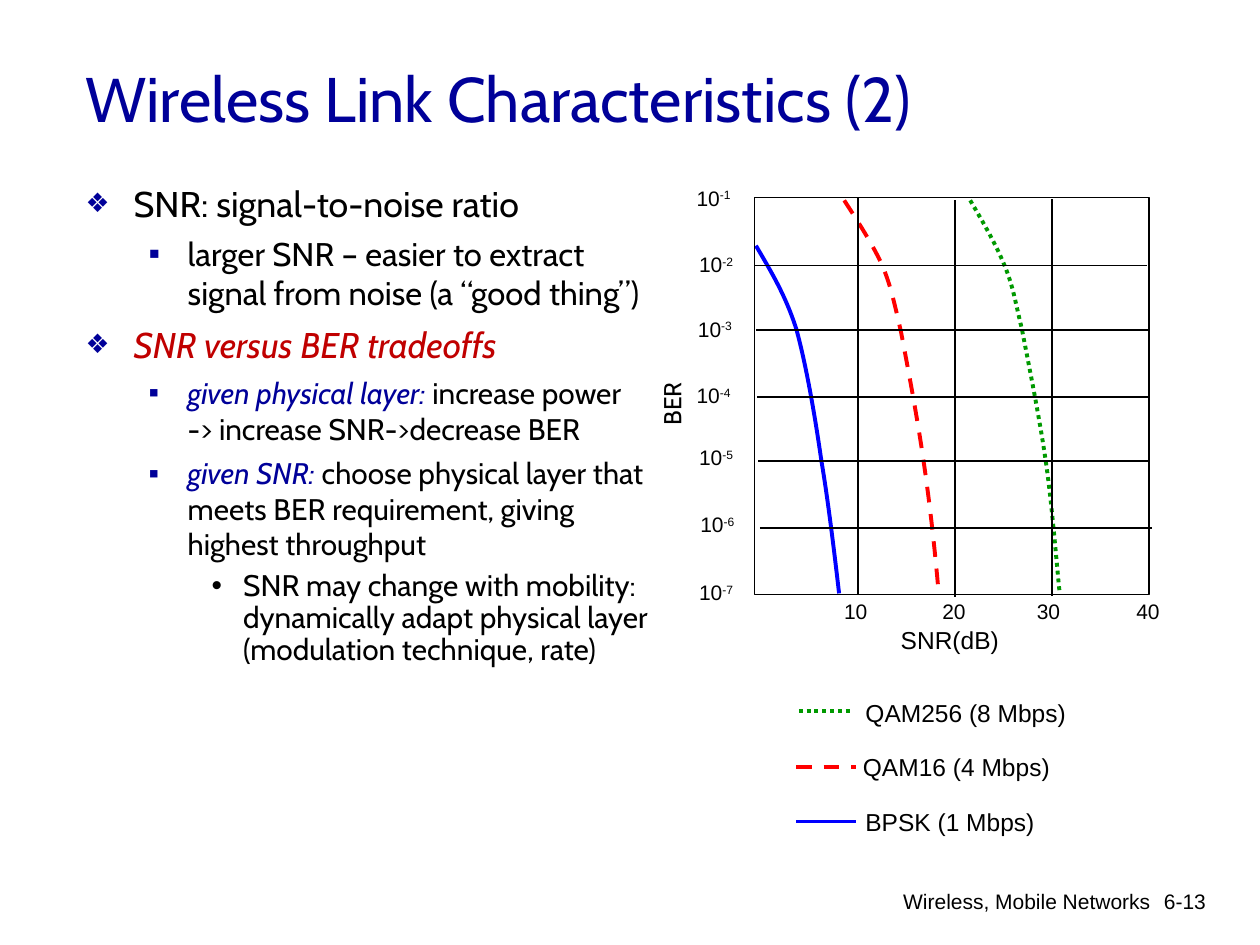
"""Build the slide on wireless link characteristics: SNR versus BER."""
from lxml import etree
from pptx import Presentation
from pptx.dml.color import RGBColor
from pptx.enum.dml import MSO_LINE
from pptx.enum.shapes import MSO_CONNECTOR, MSO_SHAPE
from pptx.enum.text import MSO_ANCHOR, MSO_AUTO_SIZE, PP_ALIGN
from pptx.oxml.ns import qn
from pptx.util import Inches, Pt

LEFT, RIGHT = PP_ALIGN.LEFT, PP_ALIGN.RIGHT
DASH, DOT = MSO_LINE.DASH, MSO_LINE.ROUND_DOT
BLACK, NAVY, CRIMSON = "000000", "000099", "C00000"
BLUE, RED, GREEN = "0000FF", "FF0000", "009900"

TITLE = "Wireless Link Characteristics (2)"
# level, size, space before, runs of (text, colour, italic)
BODY = [
    (0, 20.4, 0, [("SNR: signal-to-noise ratio", BLACK, False)]),
    (1, 18.7, 5.5, [("larger SNR – easier to extract signal from noise (a “good thing”)", BLACK, False)]),
    (0, 20.4, 6, [("SNR versus BER tradeoffs", CRIMSON, True)]),
    (1, 17, 5, [("given physical layer:", NAVY, True),
                (" increase power -> increase SNR->decrease BER", BLACK, False)]),
    (1, 17, 5, [("given SNR:", NAVY, True),
                (" choose physical layer that meets BER requirement, giving highest throughput", BLACK, False)]),
    (2, 17, 5, [("SNR may change with mobility: dynamically adapt physical layer "
                 "(modulation technique, rate)", BLACK, False)]),
]
# bullet, colour, size in percent, left margin, hanging indent, line spacing
LEVELS = [("❖", NAVY, 75, 0.38, 0.38, 1.0),
          ("▪", NAVY, 100, 0.81, 0.31, 1.0),
          ("•", BLACK, 100, 1.25, 0.25, 0.9)]

# colour, dash, Bezier points
CURVES = [
    (BLUE, None, [(6, 1.95), (6.11, 2.14), (6.23, 2.33), (6.32, 2.61), (6.4, 2.9), (6.47, 3.31),
                  (6.52, 3.66), (6.58, 4.01), (6.64, 4.54), (6.66, 4.71)]),
    (RED, DASH, [(6.7, 1.59), (6.81, 1.76), (6.92, 1.93), (7, 2.1), (7.07, 2.27), (7.09, 2.37),
                 (7.15, 2.63), (7.2, 2.89), (7.28, 3.31), (7.33, 3.66), (7.38, 4), (7.42, 4.36),
                 (7.45, 4.71)]),
    (GREEN, DOT, [(7.7, 1.59), (7.8, 1.76), (7.9, 1.93), (7.97, 2.1), (8.04, 2.27), (8.05, 2.36),
                  (8.11, 2.61), (8.16, 2.87), (8.25, 3.31), (8.3, 3.66), (8.35, 4), (8.39, 4.52),
                  (8.41, 4.7)]),
]
PLOT = (5.99, 1.57, 3.13, 3.15)
ROWS = [2.11, 2.62, 3.15, 3.66, 4.19]
COLUMNS = [(6.81, 1.57), (7.58, 1.59), (8.35, 1.58)]
SNR_TICKS = [("10", 6.6), ("20", 7.38), ("30", 8.13), ("40", 8.92)]
BER_TICKS = [("-1", 5.43, 1.42), ("-2", 5.45, 1.95), ("-3", 5.44, 2.46), ("-4", 5.43, 2.99),
             ("-5", 5.45, 3.48), ("-6", 5.46, 4.01), ("-7", 5.45, 4.55)]
# label, left, top, width, key start, key end, key height, colour, dash
LEGEND = [("QAM256 (8 Mbps)", 6.77, 5.49, 1.82, 6.34, 6.77, 5.64, GREEN, DOT),
          ("QAM16 (4 Mbps)", 6.75, 5.92, 1.71, 6.32, 6.79, 6.09, RED, DASH),
          ("BPSK (1 Mbps)", 6.77, 6.36, 1.57, 6.32, 6.79, 6.52, BLUE, None)]


def rgb(value):
    return RGBColor.from_string(value)


def add_span(para, text, size, font="Arial", color=BLACK, italic=False):
    span = para.add_run()
    span.text = text
    span.font.size, span.font.name, span.font.italic = Pt(size), font, italic
    span.font.color.rgb = rgb(color)
    return span


def place(shape, left, top, width, height):
    shape.left, shape.top = Inches(left), Inches(top)
    shape.width, shape.height = Inches(width), Inches(height)


def add_label(page, text, left, top, width, height, size, font="Arial", wrap=False, align=LEFT):
    box = page.shapes.add_textbox(Inches(left), Inches(top), Inches(width), Inches(height))
    frame = box.text_frame
    frame.word_wrap = wrap
    frame.auto_size = MSO_AUTO_SIZE.NONE if wrap else MSO_AUTO_SIZE.SHAPE_TO_FIT_TEXT
    frame.paragraphs[0].alignment = align
    add_span(frame.paragraphs[0], text, size, font)
    return box


def style_line(line, color, width, dash=None):
    line.color.rgb = rgb(color)
    line.width = Pt(width)
    if dash is not None:
        line.dash_style = dash


def add_line(page, x1, y1, x2, y2, color=BLACK, width=0.75, dash=None):
    line = page.shapes.add_connector(MSO_CONNECTOR.STRAIGHT, Inches(x1), Inches(y1),
                                     Inches(x2), Inches(y2))
    style_line(line.line, color, width, dash)
    etree.SubElement(line._element.spPr, qn("a:effectLst"))


def add_curve(page, color, dash, points):
    start, *rest = [(Inches(x), Inches(y)) for x, y in points]
    builder = page.shapes.build_freeform(*start)
    builder.add_line_segments(rest, close=False)
    curve = builder.convert_to_shape()
    segments = list(curve._element.iter(qn("a:lnTo")))
    outline = segments[0].getparent()
    for index in range(0, len(segments), 3):
        bend = etree.SubElement(outline, qn("a:cubicBezTo"))
        for segment in segments[index:index + 3]:
            bend.append(segment[0])
            outline.remove(segment)
    curve.shadow.inherit = False
    curve.fill.background()
    style_line(curve.line, color, 2.25, dash)


def add_bullet(para, char, color, percent, margin, hanging):
    props = para._p.get_or_add_pPr()
    props.set("marL", str(Inches(margin)))
    props.set("indent", str(-Inches(hanging)))
    bullet_color = etree.SubElement(props, qn("a:buClr"))
    etree.SubElement(bullet_color, qn("a:srgbClr"), val=color)
    etree.SubElement(props, qn("a:buSzPct"), val=str(percent * 1000))
    etree.SubElement(props, qn("a:buChar"), char=char)


def fill_placeholders(page):
    title, body = page.placeholders[0], page.placeholders[1]
    place(title, 0.58, 0.15, 8.5, 1.25)
    title.text_frame.vertical_anchor = MSO_ANCHOR.MIDDLE
    title.text_frame.auto_size = MSO_AUTO_SIZE.NONE
    title.text_frame.paragraphs[0].alignment = LEFT
    add_span(title.text_frame.paragraphs[0], TITLE, 36, "Cabin", NAVY)

    place(body, 0.58, 1.39, 4.68, 5.68)
    frame = body.text_frame
    frame.auto_size = MSO_AUTO_SIZE.NONE
    for index, (level, size, before, spans) in enumerate(BODY):
        para = frame.add_paragraph() if index else frame.paragraphs[0]
        *bullet, spacing = LEVELS[level]
        para.level = level
        add_bullet(para, *bullet)
        para.space_before, para.line_spacing = Pt(before), spacing
        for text, color, italic in spans:
            add_span(para, text, size, "Cabin", color, italic)


def draw_plot(page):
    for curve in CURVES:
        add_curve(page, *curve)
    frame = page.shapes.add_shape(MSO_SHAPE.RECTANGLE, *map(Inches, PLOT))
    frame.shadow.inherit = False
    frame.fill.background()
    style_line(frame.line, BLACK, 0.75)
    for index, y in enumerate(ROWS):
        left = PLOT[0] + index * 0.01
        add_line(page, left, y, left + 3.11, y)
    for x, top in COLUMNS:
        add_line(page, x, top, x, top + PLOT[3])
    for text, left in SNR_TICKS:
        add_label(page, text, left, 4.7, 0.41, 0.3, 12)
    for exponent, left, top in BER_TICKS:
        box = add_label(page, "10", left, top, 0.48, 0.3, 12)
        span = add_span(box.text_frame.paragraphs[0], exponent, 12)
        span.font._element.set("baseline", "30000")
    add_label(page, "SNR(dB)", 7.05, 4.91, 0.99, 0.34, 14)
    add_label(page, "BER", 5.06, 3.03, 0.55, 0.34, 14, "Cabin").rotation = 270
    for text, left, top, width, start, end, y, color, dash in LEGEND:
        add_line(page, start, y, end, y, color, 2.25, dash)
        add_label(page, text, left, top, width, 0.34, 14)


def main():
    deck = Presentation()
    deck.slide_width, deck.slide_height = Inches(10), Inches(7.5)
    page = deck.slides.add_slide(deck.slide_layouts[1])
    fill_placeholders(page)
    draw_plot(page)
    add_label(page, "Wireless, Mobile Networks", 5.01, 7, 4.22, 0.35, 12, wrap=True, align=RIGHT)
    add_label(page, "6-13", 8.93, 7, 0.74, 0.5, 12, wrap=True, align=RIGHT)
    deck.save("out.pptx")


if __name__ == "__main__":
    main()
